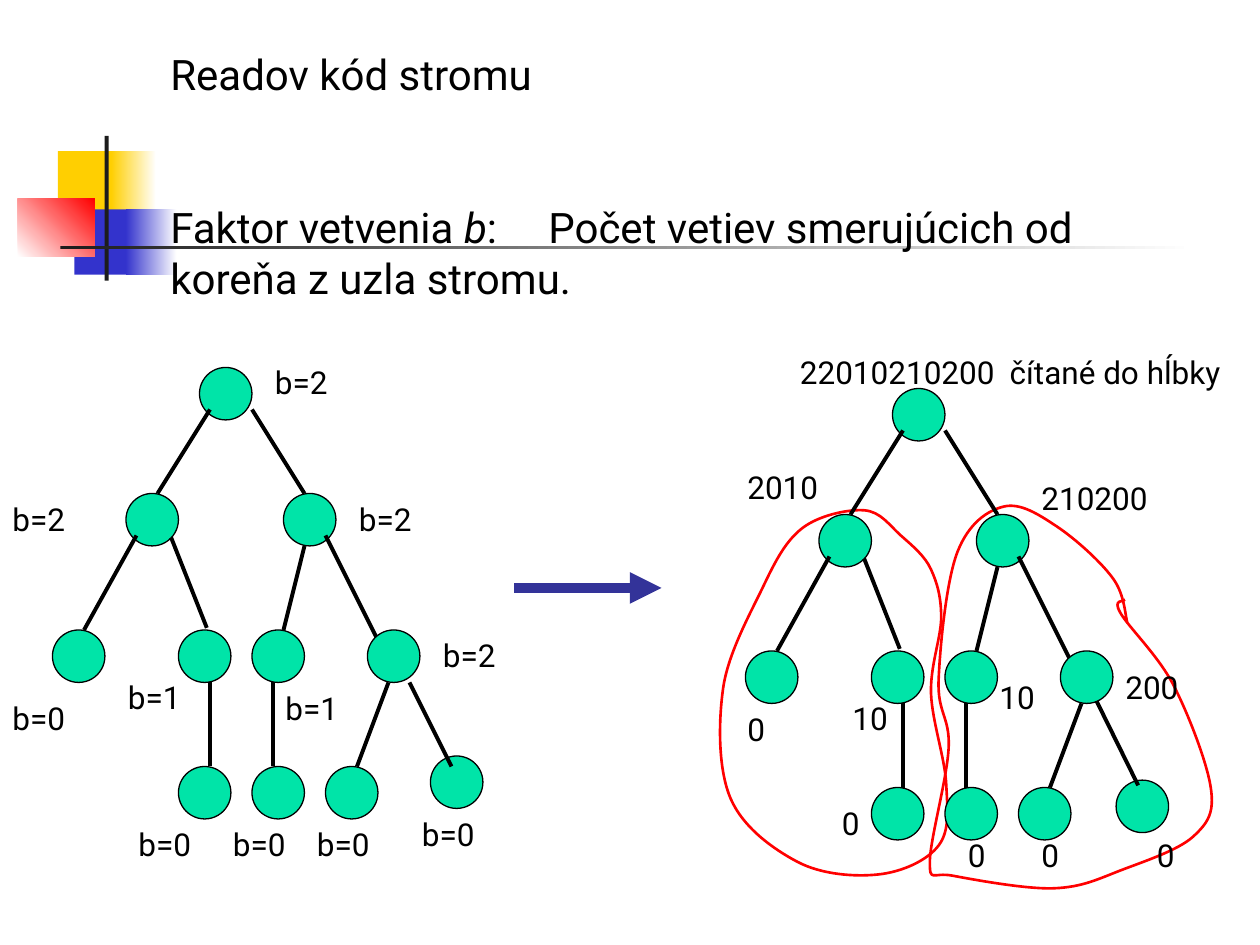
from typing import Any, NamedTuple, Optional

import pptx
import pptx.dml.color
import pptx.enum.shapes
import pptx.enum.text
import pptx.oxml
import pptx.oxml.ns
import pptx.util
from pptx.util import Cm

RGB = pptx.dml.color.RGBColor
BLACK = RGB(0x00, 0x00, 0x00)
WHITE = RGB(0xFF, 0xFF, 0xFF)
GOLD = RGB(0xFF, 0xCF, 0x01)
BLUE = RGB(0x33, 0x33, 0xCC)
RED = RGB(0xFF, 0x00, 0x00)
COAL = RGB(0x1C, 0x1C, 0x1C)
MINT = RGB(0x00, 0xE4, 0xA8)
NAVY = RGB(0x33, 0x33, 0x99)
FONT = "Roboto"
KIND = pptx.enum.shapes.MSO_SHAPE
qn = pptx.oxml.ns.qn


class Block(NamedTuple):
    left: float
    top: float
    wide: float
    high: float
    tint: RGB
    fade: Optional[RGB] = None
    angle: int = 0


class Node(NamedTuple):
    x: float
    y: float


class Edge(NamedTuple):
    x1: float
    y1: float
    x2: float
    y2: float


class Label(NamedTuple):
    text: str
    x: float
    y: float
    wide: float = 12


BLOCKS = [
    Block(1.17, 3.05, 1.22, 1.32, GOLD),
    Block(2.24, 3.05, 0.91, 1.32, GOLD, WHITE),
    Block(1.5, 4.22, 1.17, 1.32, BLUE),
    Block(2.54, 4.22, 1.02, 1.32, BLUE, WHITE),
    Block(0.36, 4.01, 1.55, 1.17, WHITE, RED, 45),
    Block(2.11, 2.74, 0.08, 2.92, COAL),
    Block(1.22, 4.95, 22.86, 0.08, COAL, WHITE),
]
ROWS = {35: [19], 47: [12, 27], 60: [5, 17, 24], 73: [17, 24, 31]}
NODES = [Node(x, y) for y, row in ROWS.items() for x in row]
FORK = Node(35, 60)
EDGES = [Edge(20, 39, 15, 47), Edge(24, 39, 29, 47), Edge(13, 51, 8, 60),
         Edge(16.3, 51.2, 19.7, 59.8), Edge(29, 52, 27, 60),
         Edge(31, 51, 36, 61), Edge(37, 65, 34, 73)]
EDGES += [Edge(x, 65, x, 73) for x in (20, 26)]
SIZES = [
    Label("b=2", 25, 34), Label("b=2", 33, 47), Label("b=2", 41, 60),
    Label("b=2", 0, 47), Label("b=0", 0, 66), Label("b=0", 39, 77),
    Label("b=1", 11, 64), Label("b=1", 26, 65),
]
SIZES += [Label("b=0", x, 78) for x in (12, 21, 29)]
CODES = [
    Label("2010", 70, 44), Label("22010210200\tčítané do hĺbky", 75, 33, 45),
    Label("210200", 98, 45, 16), Label("0", 70, 67), Label("10", 80, 66),
    Label("0", 79, 76, 4), Label("10", 94, 64), Label("200", 106, 63),
]
CODES += [Label("0", x, 79, 4) for x in (91, 98, 109)]
LEFT = [
    Node(715, 425), Node(686, 405), Node(637, 419), Node(606, 465), Node(574, 546),
    Node(580, 634), Node(633, 684), Node(697, 694), Node(745, 671), Node(751, 622),
    Node(739, 551), Node(747, 490), Node(739, 452),
]
RIGHT = [
    Node(895, 495), Node(884, 460), Node(839, 418), Node(797, 402), Node(760, 438),
    Node(745, 540), Node(753, 593), Node(738, 684), Node(756, 695), Node(837, 705),
    Node(889, 691), Node(947, 664), Node(961, 625), Node(931, 543), Node(889, 486),
    Node(893, 476),
]


def unit(n: float) -> Cm:
    return Cm(n * 2.54 / 12)


def tag(name: str, rest: str = "") -> Any:
    return pptx.oxml.parse_xml(f'<a:{name} {pptx.oxml.ns.nsdecls("a")} {rest}/>')


def style(para: Any, size: int) -> None:
    for run in para.runs:
        run.font.name, run.font.size = FONT, pptx.util.Pt(size)
        run.font.color.rgb = BLACK


def stop(para: Any, at: float) -> None:
    tabs = tag("tabLst")
    tabs.append(tag("tab", f'pos="{Cm(at)}" algn="l"'))
    para._p.get_or_add_pPr().append(tabs)


def block(shapes: Any, b: Block) -> None:
    shape = shapes.add_shape(KIND.RECTANGLE, Cm(b.left), Cm(b.top), Cm(b.wide), Cm(b.high))
    shape.shadow.inherit = False
    shape.line.fill.background()
    if b.fade is None:
        shape.fill.solid()
        shape.fill.fore_color.rgb = b.tint
        return
    shape.fill.gradient()
    shape.fill.gradient_angle = b.angle
    for part, tint in zip(shape.fill.gradient_stops, (b.tint, b.fade)):
        part.color.rgb = tint


def node(shapes: Any, n: Node) -> None:
    shape = shapes.add_shape(KIND.OVAL, unit(n.x), unit(n.y), unit(5), unit(5))
    shape.shadow.inherit = False
    shape.fill.solid()
    shape.fill.fore_color.rgb = MINT
    shape.line.color.rgb, shape.line.width = BLACK, pptx.util.Pt(0.75)


def edge(shapes: Any, e: Edge, tint: RGB = BLACK, width: float = 2.25, tip: bool = False) -> None:
    kind = pptx.enum.shapes.MSO_CONNECTOR.STRAIGHT
    link = shapes.add_connector(kind, *map(unit, e))
    link.line.color.rgb, link.line.width = tint, pptx.util.Pt(width)
    props = link._element.spPr
    if tip:
        props.find(qn("a:ln")).append(tag("tailEnd", 'type="triangle"'))
    props.append(tag("effectLst"))


def tree(shapes: Any, dx: float, dy: float, leaf: Node, limb: Edge) -> None:
    group = shapes.add_group_shape().shapes
    for n in NODES + [leaf]:
        node(group, Node(n.x + dx, n.y + dy))
    for e in EDGES + [limb]:
        edge(group, Edge(e.x1 + dx, e.y1 + dy, e.x2 + dx, e.y2 + dy))
    node(group, Node(FORK.x + dx, FORK.y + dy))


def label(shapes: Any, item: Label) -> None:
    high = 8.4 if item.wide < 5 else 4.8
    frame = shapes.add_textbox(*map(unit, (item.x, item.y, item.wide, high))).text_frame
    frame.word_wrap = True
    frame.text = item.text
    if "\t" in item.text:
        stop(frame.paragraphs[0], 4.23)
    style(frame.paragraphs[0], 18)


def bend(a: Node, b: Node, c: Node, d: Node) -> list[Node]:
    return [Node(b.x + (c.x - a.x) / 6, b.y + (c.y - a.y) / 6),
            Node(c.x - (d.x - b.x) / 6, c.y - (d.y - b.y) / 6), c]


def loop(shapes: Any, dots: list[Node], close: bool) -> None:
    ring = [dots[-1], *dots, *dots[:2]] if close else [dots[0], *dots, dots[-1]]
    path = [p for four in zip(ring, ring[1:], ring[2:], ring[3:]) for p in bend(*four)]
    pen = shapes.build_freeform(*dots[0], scale=Cm(0.0254))
    pen.add_line_segments(path, close=close)
    shape = pen.convert_to_shape()
    shape.shadow.inherit = False
    shape.fill.background()
    shape.line.color.rgb, shape.line.width = RED, pptx.util.Pt(1.5)
    lines = list(shape._element.iter(qn("a:lnTo")))
    for trio in zip(lines[::3], lines[1::3], lines[2::3]):
        curve = tag("cubicBezTo")
        trio[0].addprevious(curve)
        for line in trio:
            curve.append(line[0])
            line.getparent().remove(line)


def holder(shape: Any, top: float, high: float, text: str) -> Any:
    shape.left, shape.top, shape.width, shape.height = Cm(3.18), Cm(top), Cm(20.75), Cm(high)
    shape._element.getparent().append(shape._element)
    frame = shape.text_frame
    frame.auto_size = pptx.enum.text.MSO_AUTO_SIZE.NONE
    frame.vertical_anchor = pptx.enum.text.MSO_ANCHOR.TOP
    frame.text = text
    para = frame.paragraphs[0]
    para.alignment = pptx.enum.text.PP_ALIGN.LEFT
    para.space_before = pptx.util.Pt(0)
    return para


def main() -> None:
    deck = pptx.Presentation()
    deck.slide_width, deck.slide_height = Cm(25.4), Cm(19.05)
    slide = deck.slides.add_slide(deck.slide_layouts[1])
    shapes = slide.shapes
    title, body = shapes.title, slide.placeholders[1]
    for b in BLOCKS:
        block(shapes, b)
    style(holder(title, 0.85, 1.3, "Readov kód stromu"), 24)
    para = holder(body, 3.94, 2.4, "Faktor vetvenia ")
    props = para._p.get_or_add_pPr()
    props.set("marL", "0")
    props.set("indent", "0")
    props.append(tag("buNone"))
    stop(para, 7.22)
    for text in ("b", ":\tPočet vetiev smerujúcich od koreňa z uzla stromu."):
        para.add_run().text = text
    para.runs[1].font.italic = True
    style(para, 24)
    tree(shapes, 0, 0, Node(41, 72), Edge(39, 65, 43, 73))
    for item in SIZES:
        label(shapes, item)
    edge(shapes, Edge(49, 56, 63, 56), NAVY, 6, True)
    loop(shapes, LEFT, True)
    loop(shapes, RIGHT, False)
    for item in CODES:
        label(shapes, item)
    tree(shapes, 66, 2, Node(40.3, 72.3), Edge(38.4, 64.7, 42.4, 72.8))
    deck.save("out.pptx")


if __name__ == "__main__":
    main()
